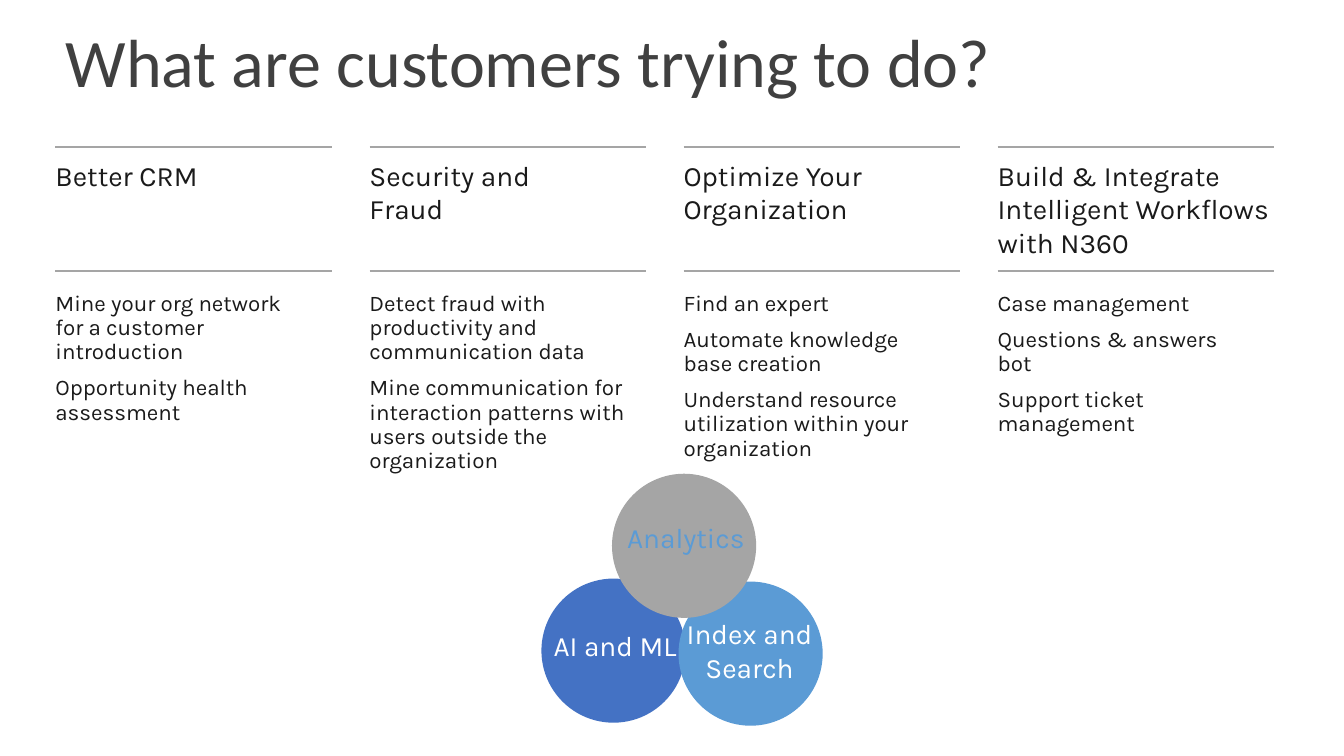
from dataclasses import dataclass

from lxml.etree import SubElement
from pptx import Presentation
from pptx.dml.color import RGBColor
from pptx.enum.shapes import MSO_CONNECTOR as Connector, MSO_SHAPE as Shape
from pptx.enum.text import MSO_ANCHOR as Anchor, PP_ALIGN as Align
from pptx.oxml.ns import qn
from pptx.util import Inches, Pt

WHITE = RGBColor(0xFF, 0xFF, 0xFF)
TITLE_GRAY = RGBColor(0x40, 0x40, 0x40)
INK = RGBColor(0x1A, 0x1A, 0x1A)
GRAY = RGBColor(0xA5, 0xA5, 0xA5)
BLUE = RGBColor(0x44, 0x72, 0xC4)
SKY = RGBColor(0x5B, 0x9B, 0xD5)

MARGIN, COLUMN_WIDTH, COLUMN_PITCH = 0.55, 2.74, 3.115
RULE_ROWS = (1.46, 2.69)
HEADING_ROW, BODY_ROW, BODY_HEIGHT = 1.52, 2.8, 2.77
HEADING_INSETS = (0, 0.05, 0.1, 0.05)
BODY_INSETS = (0, 0.1, 0.2, 0.16)
NO_INSETS = (0, 0, 0, 0)
DIAMETER, LINE_HEIGHT = 1.43, 0.34


@dataclass(frozen=True)
class Goal:
    heading: str
    heading_width: float
    heading_lines: int
    items: tuple[str, ...]


@dataclass(frozen=True)
class Capability:
    label: str
    left: float
    top: float
    fill: RGBColor
    label_left: float
    label_top: float
    label_color: RGBColor
    label_lines: int = 1
    align: Align = Align.LEFT


GOALS = (
    Goal("Better CRM", 1.59, 1, (
        "Mine your org network for a customer introduction",
        "Opportunity health assessment")),
    Goal("Security and Fraud", 2.2, 2, (
        "Detect fraud with productivity and communication data",
        "Mine communication for interaction patterns with users outside the organization")),
    Goal("Optimize Your Organization", COLUMN_WIDTH, 2, (
        "Find an expert",
        "Automate knowledge base creation",
        "Understand resource utilization within your organization")),
    Goal("Build & Integrate Intelligent Workflows with N360", 3.06, 3, (
        "Case management",
        "Questions & answers bot",
        "Support ticket management")),
)

CAPABILITIES = (
    Capability("AI and ML", 5.37, 5.74, BLUE, 5.49, 6.24, WHITE),
    Capability("Index and Search", 6.73, 5.77, SKY, 6.72, 6.12, WHITE, 2, Align.CENTER),
    Capability("Analytics", 6.07, 4.7, GRAY, 6.22, 5.16, SKY),
)


def format_text(para, font: str, size: float, color: RGBColor) -> None:
    for span in para.runs:
        span.font.name = font
        span.font.size = Pt(size)
        span.font.color.rgb = color


def add_text(shapes, area: tuple, insets: tuple, lines: tuple, size: float,
             color: RGBColor):
    box = shapes.add_textbox(*map(Inches, area))
    frame = box.text_frame
    frame.word_wrap = True
    frame.margin_left, frame.margin_top, frame.margin_right, frame.margin_bottom = map(
        Inches, insets)
    frame.text = "\n".join(lines)
    for para in frame.paragraphs:
        format_text(para, "Karla", size, color)
    return frame


def add_rule(shapes, left: float, top: float) -> None:
    rule = shapes.add_connector(
        Connector.STRAIGHT, Inches(left), Inches(top),
        Inches(left + COLUMN_WIDTH), Inches(top))
    rule.line.color.rgb = GRAY
    rule.line.width = Pt(1.5)
    SubElement(rule._element.spPr, qn("a:effectLst"))


def add_goal(page, index: int, goal: Goal) -> None:
    shapes = page.shapes.add_group_shape().shapes
    left = MARGIN + index * COLUMN_PITCH
    for row in RULE_ROWS:
        add_rule(shapes, left, row)
    height = 0.1 + LINE_HEIGHT * goal.heading_lines
    add_text(shapes, (left, HEADING_ROW, goal.heading_width, height),
             HEADING_INSETS, (goal.heading,), 20, INK)
    body = add_text(shapes, (left, BODY_ROW, COLUMN_WIDTH, BODY_HEIGHT),
                    BODY_INSETS, goal.items, 16, INK)
    for para in body.paragraphs:
        para.line_spacing = 0.9
        para.space_before = Pt(6)
        para.space_after = Pt(2.4)


def add_circle(page, capability: Capability) -> None:
    circle = page.shapes.add_shape(
        Shape.OVAL, Inches(capability.left), Inches(capability.top),
        Inches(DIAMETER), Inches(DIAMETER))
    circle.shadow.inherit = False
    circle.fill.solid()
    circle.fill.fore_color.rgb = capability.fill
    circle.line.fill.background()


def add_label(page, capability: Capability) -> None:
    area = (capability.label_left, capability.label_top, DIAMETER,
            LINE_HEIGHT * capability.label_lines)
    frame = add_text(page.shapes, area, NO_INSETS, (capability.label,), 20,
                     capability.label_color)
    frame.paragraphs[0].alignment = capability.align


def set_title(page, text: str) -> None:
    title = page.shapes.title
    title.left, title.top, title.width, title.height = map(
        Inches, (MARGIN, 0.19, 12.08, 0.91))
    frame = title.text_frame
    frame.text = text
    frame.vertical_anchor = Anchor.MIDDLE
    para = frame.paragraphs[0]
    para.alignment = Align.LEFT
    para.line_spacing = 0.9
    format_text(para, "Calibri", 48.6, TITLE_GRAY)


def main() -> None:
    deck = Presentation()
    deck.slide_width, deck.slide_height = Inches(13.33), Inches(7.5)
    page = deck.slides.add_slide(deck.slide_layouts.get_by_name("Title Only"))
    set_title(page, "What are customers trying to do?")
    for index, goal in enumerate(GOALS):
        add_goal(page, index, goal)
    for capability in CAPABILITIES:
        add_circle(page, capability)
    for capability in CAPABILITIES:
        add_label(page, capability)
    deck.save("out.pptx")


if __name__ == "__main__":
    main()
